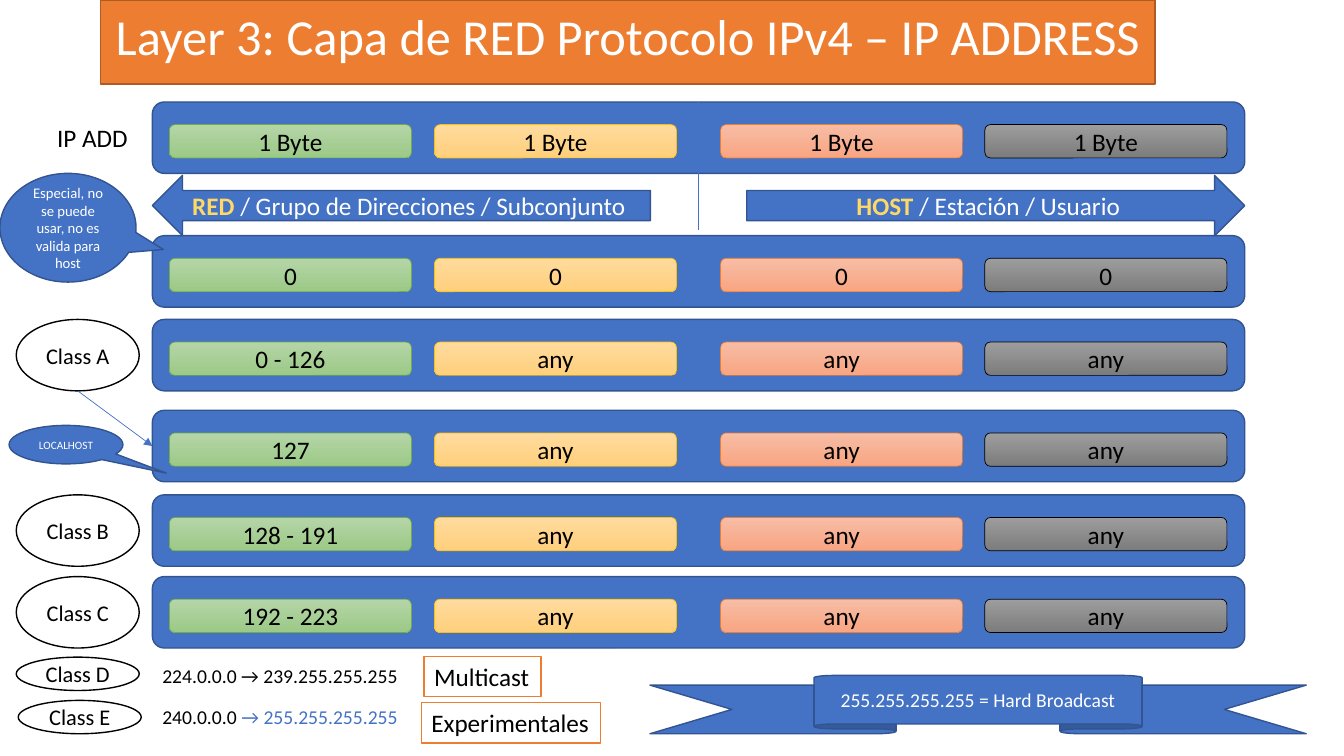
from dataclasses import dataclass

from lxml.etree import SubElement
from pptx import Presentation
from pptx.dml.color import RGBColor
from pptx.enum.shapes import MSO_CONNECTOR, MSO_SHAPE
from pptx.enum.text import MSO_ANCHOR, MSO_AUTO_SIZE, PP_ALIGN
from pptx.oxml.ns import qn
from pptx.shapes.autoshape import Shape
from pptx.slide import Slide
from pptx.util import Cm, Pt

FONT = "Calibri"
WHITE = RGBColor(0xFF, 0xFF, 0xFF)
BLACK = RGBColor(0x00, 0x00, 0x00)
BLUE = RGBColor(0x44, 0x72, 0xC4)
NAVY = RGBColor(0x32, 0x54, 0x91)
ORANGE = RGBColor(0xED, 0x7D, 0x31)
RUST = RGBColor(0xAF, 0x5C, 0x24)
GOLD = RGBColor(0xFF, 0xD9, 0x66)

# Address rows, in centimetres
BAR_LEFT, BAR_WIDTH, BAR_HEIGHT = 3.84, 27.53, 1.8
CELL_DROP, CELL_WIDTH, CELL_HEIGHT = 0.57, 6.1, 0.84
CLASS_WIDTH = 3.1
DIVIDER_X = 17.6


@dataclass(frozen=True)
class Box:
    """Left, top, width and height in centimetres."""
    left: float
    top: float
    width: float
    height: float


@dataclass(frozen=True)
class ByteColumn:
    left: float
    light: RGBColor
    dark: RGBColor
    line: RGBColor


@dataclass(frozen=True)
class AddressRow:
    top: float
    values: tuple[str, ...]


@dataclass(frozen=True)
class ClassLabel:
    text: str
    left: float
    top: float
    height: float


@dataclass(frozen=True)
class Callout:
    text: str
    box: Box
    tip: tuple[float, float]
    size: float


BYTE_COLUMNS = (
    ByteColumn(4.27, RGBColor(0xB5, 0xD5, 0xA7), RGBColor(0x9C, 0xC9, 0x87), RGBColor(0x70, 0xAD, 0x47)),
    ByteColumn(10.95, RGBColor(0xFF, 0xDB, 0x9E), RGBColor(0xFF, 0xD0, 0x7C), RGBColor(0xFF, 0xC0, 0x00)),
    ByteColumn(18.16, RGBColor(0xF7, 0xBD, 0xA5), RGBColor(0xF8, 0xA5, 0x82), ORANGE),
    ByteColumn(24.82, RGBColor(0x9D, 0x9D, 0x9D), RGBColor(0x7C, 0x7C, 0x7C), BLACK),
)
ANY = ("any",) * 3
HEADER = AddressRow(2.57, ("1 Byte",) * 4)
ZERO = AddressRow(5.94, ("0",) * 4)
CLASS_A = AddressRow(8.05, ("0 - 126", *ANY))
LOOPBACK = AddressRow(10.34, ("127", *ANY))
CLASS_B = AddressRow(12.47, ("128 - 191", *ANY))
CLASS_C = AddressRow(14.53, ("192 - 223", *ANY))
ROWS = (HEADER, ZERO, CLASS_A, LOOPBACK, CLASS_B, CLASS_C)
CLASS_LABELS = (
    ClassLabel("Class A", 0.41, CLASS_A.top, BAR_HEIGHT),
    ClassLabel("Class B", 0.41, CLASS_B.top, BAR_HEIGHT),
    ClassLabel("Class C", 0.41, CLASS_C.top, BAR_HEIGHT),
    ClassLabel("Class D", 0.41, 16.56, 0.84),
    ClassLabel("Class E", 0.46, 17.65, 0.84),
)
CALLOUTS = (
    Callout("Especial, no se puede usar, no es valida para host",
            Box(0, 4.37, 3.43, 2.74), (0.7, 0.2), 10.5),
    Callout("LOCALHOST", Box(0.23, 10.72, 2.87, 0.97), (0.88, 0.74), 8),
)
USE_BOXES = (
    ("Multicast", Box(10.69, 16.54, 2.95, 1.02)),
    ("Experimentales", Box(10.62, 17.7, 4.52, 1.02)),
)


def place(box: Box) -> tuple[Cm, Cm, Cm, Cm]:
    return Cm(box.left), Cm(box.top), Cm(box.width), Cm(box.height)


def write(sp: Shape, text: str, *, size: float = 18, color: RGBColor = WHITE,
          bold: bool = False, align: PP_ALIGN = PP_ALIGN.CENTER, fit: bool = False) -> None:
    """Append a run to the first paragraph; fit gives an unwrapped box grown to its text."""
    tf = sp.text_frame
    tf.word_wrap = not fit
    tf.auto_size = MSO_AUTO_SIZE.SHAPE_TO_FIT_TEXT if fit else MSO_AUTO_SIZE.NONE
    tf.vertical_anchor = MSO_ANCHOR.TOP if fit else MSO_ANCHOR.MIDDLE
    p = tf.paragraphs[0]
    p.alignment = align
    r = p.add_run()
    r.text = text
    r.font.name = FONT
    r.font.size = Pt(size)
    r.font.bold = bold
    r.font.color.rgb = color


def paint(sp: Shape, fill: RGBColor, line: RGBColor, width: float = 1) -> None:
    sp.fill.solid()
    sp.fill.fore_color.rgb = fill
    sp.line.color.rgb = line
    sp.line.width = Pt(width)


def add_shape(s: Slide, kind: MSO_SHAPE, box: Box, fill: RGBColor = BLUE,
              line: RGBColor = NAVY, width: float = 1) -> Shape:
    sp = s.shapes.add_shape(kind, *place(box))
    sp.shadow.inherit = False
    paint(sp, fill, line, width)
    return sp


def add_line(s: Slide, x1: float, y1: float, x2: float, y2: float, arrow: bool = False) -> None:
    line = s.shapes.add_connector(MSO_CONNECTOR.STRAIGHT, Cm(x1), Cm(y1), Cm(x2), Cm(y2))
    line.line.color.rgb = BLUE
    line.line.width = Pt(0.5)
    if arrow:
        SubElement(line.line._get_or_add_ln(), qn("a:tailEnd"), type="triangle")
    SubElement(line._element.spPr, qn("a:effectLst"))


def add_row(s: Slide, row: AddressRow) -> None:
    add_shape(s, MSO_SHAPE.ROUNDED_RECTANGLE, Box(BAR_LEFT, row.top, BAR_WIDTH, BAR_HEIGHT))
    for column, value in zip(BYTE_COLUMNS, row.values):
        box = Box(column.left, row.top + CELL_DROP, CELL_WIDTH, CELL_HEIGHT)
        sp = add_shape(s, MSO_SHAPE.ROUNDED_RECTANGLE, box, column.light, column.line, 0.5)
        sp.fill.gradient()
        sp.fill.gradient_angle = 270
        for stop, color in zip(sp.fill.gradient_stops, (column.light, column.dark)):
            stop.color.rgb = color
        write(sp, value, color=BLACK)


def add_part_arrow(s: Slide, kind: MSO_SHAPE, left: float, name: str, rest: str) -> None:
    sp = add_shape(s, kind, Box(left, 4.42, 12.55, 1.52))
    write(sp, name, color=GOLD, bold=True)
    write(sp, rest)


def add_label(s: Slide, box: Box, text: str, size: float) -> Shape:
    sp = s.shapes.add_textbox(*place(box))
    write(sp, text, size=size, color=BLACK, align=PP_ALIGN.LEFT, fit=True)
    return sp


def main() -> None:
    prs = Presentation()
    prs.slide_width, prs.slide_height = Cm(33.87), Cm(19.05)
    s = prs.slides.add_slide(prs.slide_layouts[5])

    title = s.shapes.title
    title.left, title.top, title.width, title.height = place(Box(2.54, 0, 26.57, 1.8))
    paint(title, ORANGE, RUST)
    write(title, "Layer 3: Capa de RED Protocolo IPv4 – IP ADDRESS", size=36, fit=True)

    for row in ROWS:
        add_row(s, row)
    add_label(s, Box(1.19, 2.97, 2.31, 1.02), "IP ADD", 18)
    add_line(s, DIVIDER_X, HEADER.top, DIVIDER_X, 5.79)
    add_part_arrow(s, MSO_SHAPE.LEFT_ARROW, BAR_LEFT, "RED", " / Grupo de Direcciones / Subconjunto")
    add_part_arrow(s, MSO_SHAPE.RIGHT_ARROW, 18.82, "HOST ", "/ Estación / Usuario")

    for label in CLASS_LABELS:
        box = Box(label.left, label.top, CLASS_WIDTH, label.height)
        write(add_shape(s, MSO_SHAPE.OVAL, box, WHITE, BLACK), label.text, size=16, color=BLACK)
    add_line(s, 0.41 + CLASS_WIDTH / 2, CLASS_A.top + BAR_HEIGHT,
             BAR_LEFT, LOOPBACK.top + BAR_HEIGHT / 2, arrow=True)
    for callout in CALLOUTS:
        sp = add_shape(s, MSO_SHAPE.OVAL_CALLOUT, callout.box)
        sp.adjustments[0], sp.adjustments[1] = callout.tip
        write(sp, callout.text, size=callout.size)

    add_label(s, Box(BAR_LEFT, 16.61, 6.55, 0.86), "224.0.0.0 → 239.255.255.255", 14)
    class_e = add_label(s, Box(BAR_LEFT, 17.65, 6.55, 0.86), "240.0.0.0 ", 14)
    write(class_e, "→ 255.255.255.255", size=14, color=BLUE, align=PP_ALIGN.LEFT, fit=True)
    for text, box in USE_BOXES:
        sp = add_shape(s, MSO_SHAPE.RECTANGLE, box, WHITE, ORANGE)
        write(sp, text, color=BLACK, align=PP_ALIGN.LEFT, fit=True)
    ribbon = add_shape(s, MSO_SHAPE.UP_RIBBON, Box(16.38, 17.02, 16.54, 1.47))
    write(ribbon, "255.255.255.255 = Hard Broadcast", size=14)

    prs.save("out.pptx")


if __name__ == "__main__":
    main()
